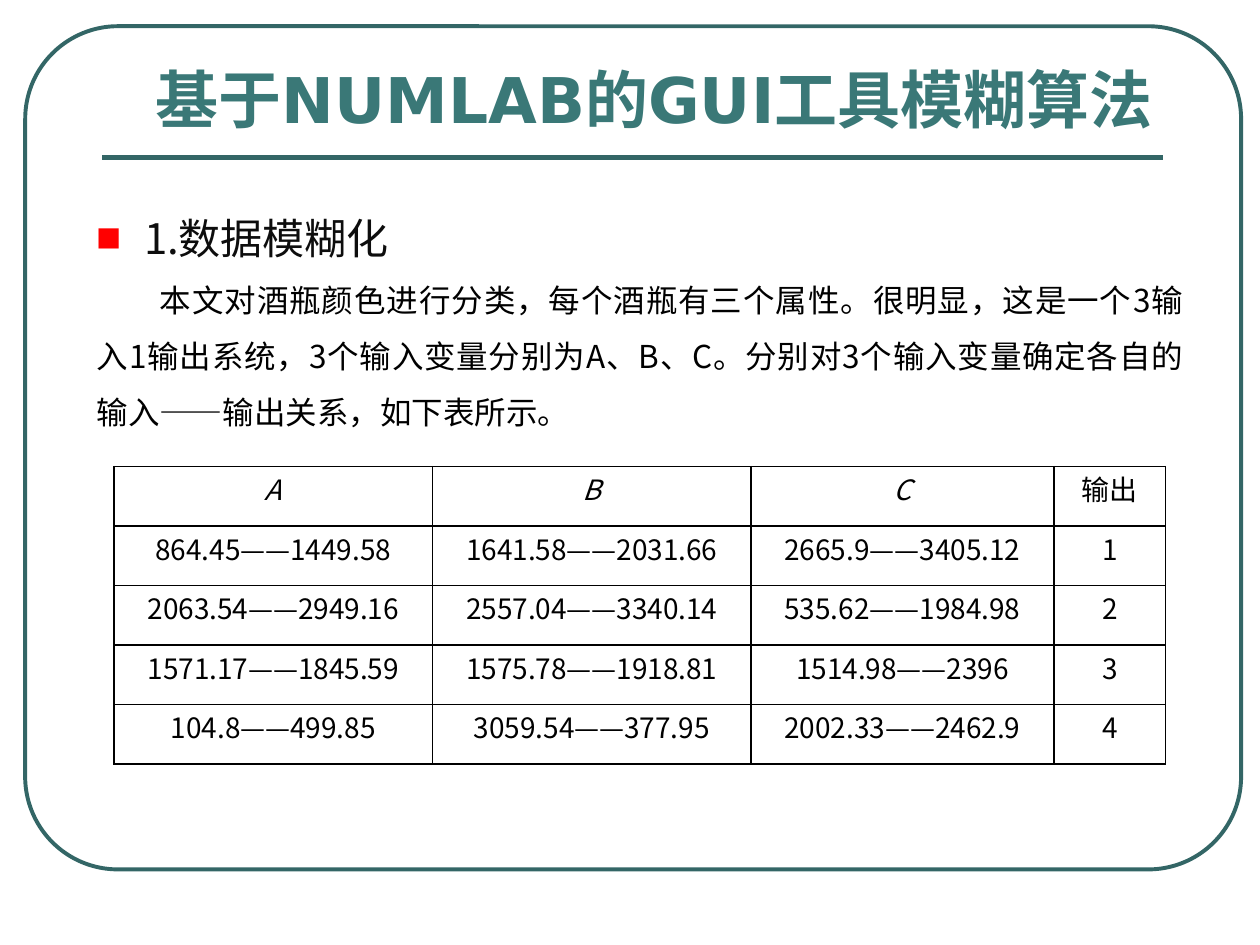
from pptx import Presentation
from pptx.dml.color import RGBColor
from pptx.enum.shapes import MSO_CONNECTOR, MSO_SHAPE
from pptx.enum.text import MSO_ANCHOR, PP_ALIGN
from pptx.oxml import parse_xml
from pptx.oxml.ns import nsdecls, qn
from pptx.util import Pt
from lxml.etree import SubElement

SANS = "Noto Sans CJK SC"
TEAL = "336666"
BLACK = "000000"


def color(text):
    return RGBColor.from_string(text)


def apply(item, values):
    for name, value in values.items():
        setattr(item, name, value)


class Deck:
    def __init__(self):
        self.file = Presentation()
        apply(self.file, {"slide_width": Pt(720), "slide_height": Pt(540)})
        self.slide = self.file.slides.add_slide(self.file.slide_layouts[6])
        self.shapes = self.slide.shapes

    def frame(self, left, top, width, height, bend):
        shape = self.shapes.add_shape(MSO_SHAPE.ROUNDED_RECTANGLE,
                                      Pt(left), Pt(top), Pt(width), Pt(height))
        shape.adjustments[0] = bend
        shape.shadow.inherit = False
        shape.fill.background()
        shape.line.color.rgb = color(TEAL)
        shape.line.width = Pt(2.25)

    def rule(self, left, right, top):
        line = self.shapes.add_connector(MSO_CONNECTOR.STRAIGHT,
                                         Pt(left), Pt(top), Pt(right), Pt(top))
        line.line.color.rgb = color(TEAL)
        line.line.width = Pt(3)
        SubElement(line._element.spPr, qn("a:effectLst"))

    def box(self, left, top, width, height, **style):
        shape = self.shapes.add_textbox(Pt(left), Pt(top), Pt(width), Pt(height))
        apply(shape.text_frame, {"word_wrap": True, **style})
        return shape.text_frame

    def run(self, para, text, size, tint=BLACK, face=SANS, **style):
        run = para.add_run()
        run.text = text
        apply(run.font, {"size": Pt(size), "name": face, **style})
        run.font.color.rgb = color(tint)
        SubElement(run.font._element, qn("a:ea"), typeface=SANS)
        return run

    def indent(self, para, left, first):
        props = para._p.get_or_add_pPr()
        props.set("marL", str(Pt(left)))
        props.set("indent", str(Pt(first)))

    def bullet(self, para, mark, tint, scale):
        props = para._p.get_or_add_pPr()
        hue = SubElement(props, qn("a:buClr"))
        SubElement(hue, qn("a:srgbClr"), val=tint)
        SubElement(props, qn("a:buSzPct"), val=str(scale * 1000))
        SubElement(props, qn("a:buFont"), typeface=SANS)
        SubElement(props, qn("a:buChar"), char=mark)

    def cell(self, cell, text, slant):
        cell.fill.background()
        apply(cell, {"vertical_anchor": MSO_ANCHOR.MIDDLE,
                     "margin_left": Pt(5), "margin_right": Pt(5),
                     "margin_top": 0, "margin_bottom": 0})
        para = cell.text_frame.paragraphs[0]
        apply(para, {"alignment": PP_ALIGN.CENTER, "line_spacing": Pt(14)})
        low, dash, high = text.partition("——")
        self.run(para, low, 16, italic=slant)
        if dash:
            tight = self.run(para, "—", 16)
            tight.font._element.set("spc", "-50")
            self.run(para, "—" + high, 16)
        props = cell._tc.get_or_add_tcPr()
        for spot, side in enumerate(("lnL", "lnR", "lnT", "lnB")):
            props.insert(spot, parse_xml(
                f'<a:{side} {nsdecls("a")} w="{Pt(1)}"><a:solidFill>'
                f'<a:srgbClr val="{BLACK}"/></a:solidFill></a:{side}>'))

    def table(self, left, top, widths, height, rows):
        grid = self.shapes.add_table(len(rows), len(widths), Pt(left), Pt(top),
                                     Pt(sum(widths)), Pt(height * len(rows))).table
        apply(grid, {"first_row": False, "horz_banding": False})
        for col, width in zip(grid.columns, widths):
            col.width = Pt(width)
        for line, row in zip(grid.rows, rows):
            line.height = Pt(height)
            for cell, text in zip(line.cells, row):
                self.cell(cell, text, text in ("A", "B", "C"))


def main():
    deck = Deck()
    deck.frame(14.4, 15, 694.8, 481.8, 0.11)
    deck.rule(58.5, 664.5, 90)

    title = deck.box(65.5, 30.7, 674.5, 51, margin_left=Pt(23.5),
                     vertical_anchor=MSO_ANCHOR.MIDDLE)
    deck.run(title.paragraphs[0], "基于NUMLAB的GUI工具模糊算法", 36,
             "3A7877", "DejaVu Sans", bold=True)

    body = deck.box(48.2, 103.7, 635, 149)
    head = body.paragraphs[0]
    head.line_spacing = Pt(43)
    deck.indent(head, 27, -27)
    deck.bullet(head, "■", "FF0000", 60)
    deck.run(head, "1.数据模糊化", 24, "0D0D0D")
    para = body.add_paragraph()
    apply(para, {"alignment": PP_ALIGN.JUSTIFY, "line_spacing": Pt(32)})
    deck.indent(para, 0, 36)
    deck.run(para, "本文对酒瓶颜色进行分类，每个酒瓶有三个属性。很明显，这是一个3输入1输出系统，"
             "3个输入变量分别为A、B、C。分别对3个输入变量确定各自的输入——输出关系，如下表所示。", 18)

    deck.table(65.2, 266.6, (182, 182, 173, 64), 34, (
        ("A", "B", "C", "输出"),
        ("864.45——1449.58", "1641.58——2031.66", "2665.9——3405.12", "1"),
        ("2063.54——2949.16", "2557.04——3340.14", "535.62——1984.98", "2"),
        ("1571.17——1845.59", "1575.78——1918.81", "1514.98——2396", "3"),
        ("104.8——499.85", "3059.54——377.95", "2002.33——2462.9", "4"),
    ))
    deck.file.save("out.pptx")


if __name__ == "__main__":
    main()
